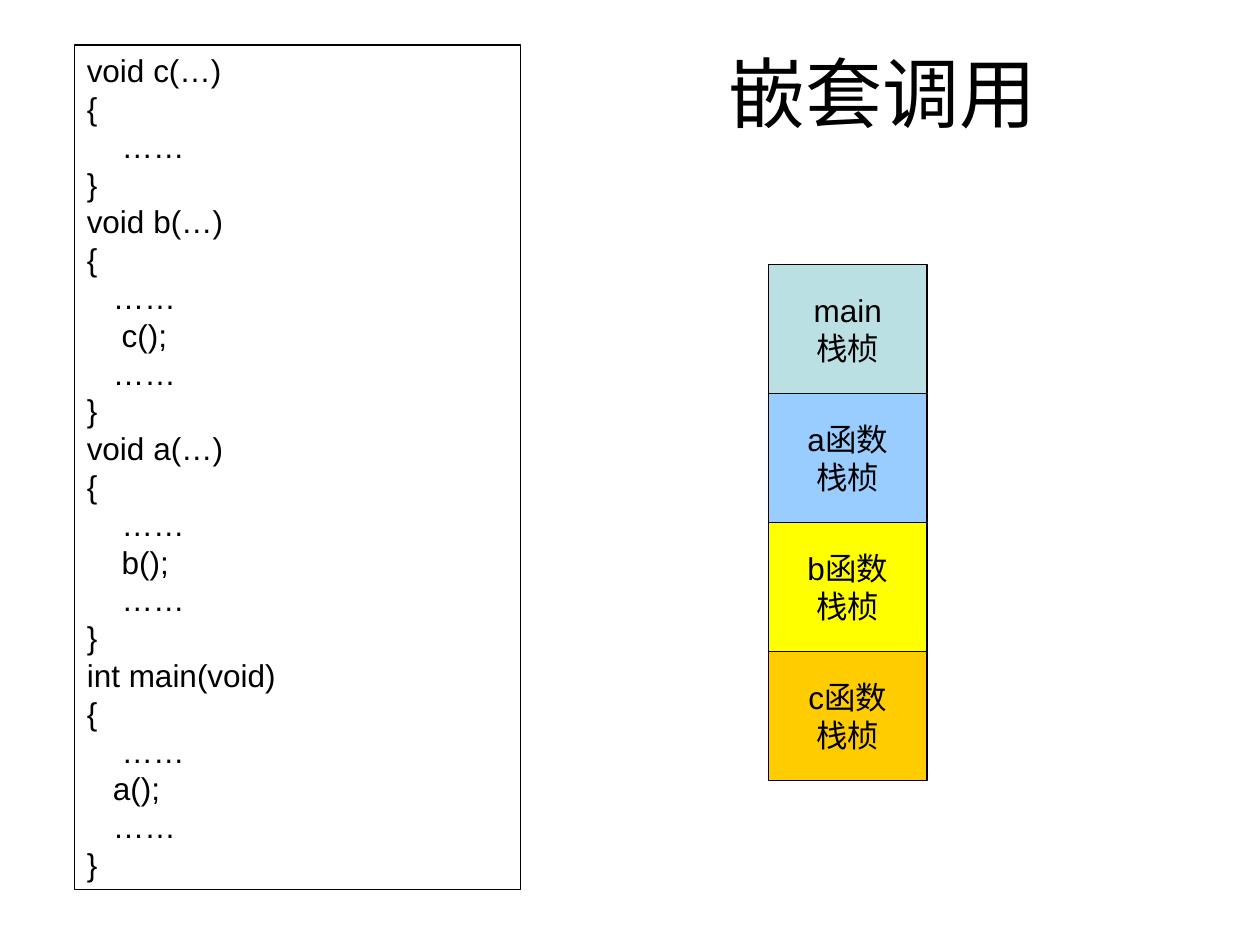
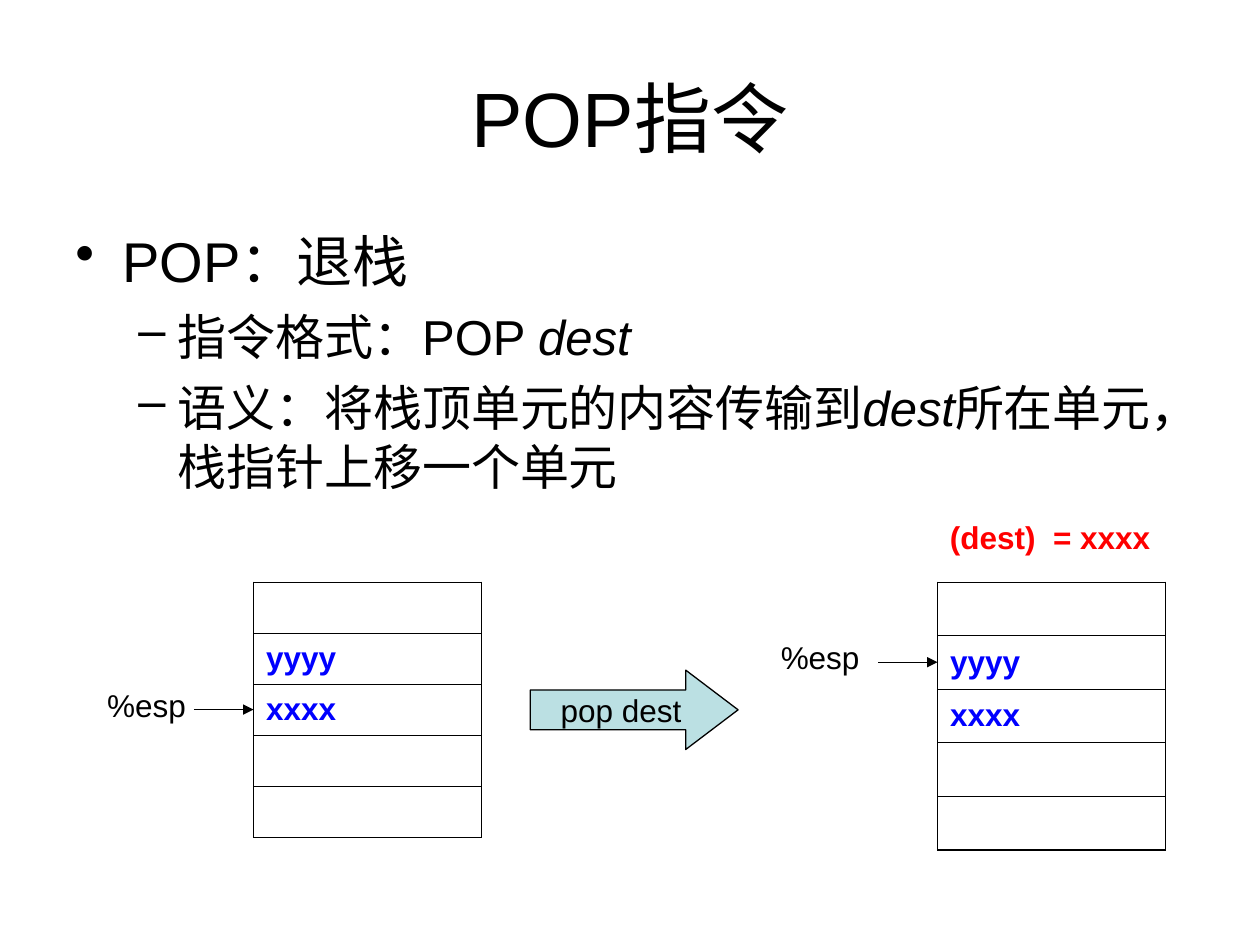
from lxml.etree import SubElement
from pptx import Presentation
from pptx.dml.color import RGBColor
from pptx.enum.shapes import MSO_CONNECTOR, MSO_SHAPE
from pptx.enum.text import MSO_ANCHOR, PP_ALIGN
from pptx.oxml.ns import qn
from pptx.util import Cm, Pt

BLACK = RGBColor(0x00, 0x00, 0x00)
RED = RGBColor(0xFF, 0x00, 0x00)
BLUE = RGBColor(0x00, 0x00, 0xFF)
TEAL = RGBColor(0xBB, 0xE0, 0xE3)
SKY = RGBColor(0x99, 0xCC, 0xFF)
YELLOW = RGBColor(0xFF, 0xFF, 0x00)
ORANGE = RGBColor(0xFF, 0xCC, 0x00)

FONT = "Arial"
TEXT_SIZE, TITLE_SIZE = 18, 44
LINE_WIDTH = 0.75

CODE = """void c(…)
{
    ……
}
void b(…)
{
   ……
    c();
   ……
}
void a(…)
{
    ……
    b();
    ……
}
int main(void)
{
    ……
   a();
   ……
}"""

FRAMES = [("main", TEAL), ("a函数", SKY), ("b函数", YELLOW), ("c函数", ORANGE)]

# Level and (text, italic) spans of each point
POINTS = [
    (0, [("POP：退栈", False)]),
    (1, [("指令格式：POP ", False), ("dest", True)]),
    (1, [("语义：将栈顶单元的内容传输到", False), ("dest", True),
         ("所在单元，栈指针上移一个单元", False)]),
]
# Bullet, text size, space before, left margin and hanging indent by level
LEVELS = [("•", 32, 8, 0.95, 0.95), ("–", 28, 7, 2.06, 0.79)]

STACK_CELLS = ["", "yyyy", "xxxx", "", ""]
STACK_WIDTH = 4.6


def style_font(font, size=TEXT_SIZE, color=BLACK, bold=False, italic=False):
    font.name = FONT
    font.size = Pt(size)
    font.color.rgb = color
    font.bold = bold
    font.italic = italic


def write(frame, text, align=PP_ALIGN.LEFT, **style):
    frame.text = text
    for para in frame.paragraphs:
        para.alignment = align
        for span in para.runs:
            style_font(span.font, **style)


def add_label(page, left, top, width, height, text, anchor=MSO_ANCHOR.TOP, **style):
    box = page.shapes.add_textbox(Cm(left), Cm(top), Cm(width), Cm(height))
    box.text_frame.word_wrap = True
    box.text_frame.vertical_anchor = anchor
    write(box.text_frame, text, **style)


def add_title(page, left, top, width, height, text):
    add_label(page, left, top, width, height, text, MSO_ANCHOR.MIDDLE,
              align=PP_ALIGN.CENTER, size=TITLE_SIZE)


def add_block(page, kind, left, top, width, height, text, fill=None):
    """Outlined shape: centred text if filled, a wrapped listing if not."""
    block = page.shapes.add_shape(kind, Cm(left), Cm(top), Cm(width), Cm(height))
    block.shadow.inherit = False
    block.line.color.rgb = BLACK
    block.line.width = Pt(LINE_WIDTH)
    frame = block.text_frame
    if fill is None:
        block.fill.background()
        frame.word_wrap = True
        frame.vertical_anchor = MSO_ANCHOR.TOP
        write(frame, text)
    else:
        block.fill.solid()
        block.fill.fore_color.rgb = fill
        frame.word_wrap = False
        frame.vertical_anchor = MSO_ANCHOR.MIDDLE
        write(frame, text, PP_ALIGN.CENTER)
    return block


def add_frame_stack(page, left, top, width, height):
    step = height / len(FRAMES)
    for index, (name, fill) in enumerate(FRAMES):
        add_block(page, MSO_SHAPE.RECTANGLE, left, top + index * step, width, step,
                  f"{name}\n栈桢", fill)


def add_points(page, left, top, width, height):
    box = page.shapes.add_textbox(Cm(left), Cm(top), Cm(width), Cm(height))
    frame = box.text_frame
    frame.word_wrap = True
    for index, (level, spans) in enumerate(POINTS):
        bullet, size, before, margin, hanging = LEVELS[level]
        para = frame.add_paragraph() if index else frame.paragraphs[0]
        para.level = level
        # Bullet and hanging indent
        props = para._p.get_or_add_pPr()
        props.set("marL", str(Cm(margin)))
        props.set("indent", str(-Cm(hanging)))
        bullet_color = SubElement(props, qn("a:buClr"))
        SubElement(bullet_color, qn("a:srgbClr"), val=str(BLACK))
        SubElement(props, qn("a:buChar"), char=bullet)
        if index:
            para.space_before = Pt(before)
        for text, italic in spans:
            span = para.add_run()
            span.text = text
            style_font(span.font, size, italic=italic)


def border_cell(cell, bottom_width):
    props = cell._tc.get_or_add_tcPr()
    for side in "LRTB":
        width = bottom_width if side == "B" else 0.45
        line = SubElement(props, qn(f"a:ln{side}"), w=str(Pt(width)))
        fill = SubElement(line, qn("a:solidFill"))
        SubElement(fill, qn("a:srgbClr"), val=str(BLACK))


def add_pointer(page, left, right, y):
    arrow = page.shapes.add_connector(MSO_CONNECTOR.STRAIGHT, Cm(left), Cm(y), Cm(right), Cm(y))
    arrow.line.color.rgb = BLACK
    arrow.line.width = Pt(LINE_WIDTH)
    SubElement(arrow.line._get_or_add_ln(), qn("a:tailEnd"), type="triangle")
    SubElement(arrow._element.spPr, qn("a:effectLst"))


def add_memory(page, left, top, row_height, top_row, label_offset):
    """Stack table with the %esp pointer aimed at top_row."""
    count = len(STACK_CELLS)
    table = page.shapes.add_table(count, 1, Cm(left), Cm(top), Cm(STACK_WIDTH),
                                  Cm(row_height * count)).table
    table.first_row = False
    table.horz_banding = False
    for index, text in enumerate(STACK_CELLS):
        table.rows[index].height = Cm(row_height)
        cell = table.cell(index, 0)
        border_cell(cell, 1.08 if index == count - 1 else 0.45)
        cell.fill.background()
        cell.vertical_anchor = MSO_ANCHOR.MIDDLE
        write(cell.text_frame, text, color=BLUE, bold=True)
    # Stack pointer
    y = top + (top_row + 0.5) * row_height
    add_label(page, left - label_offset, y - 0.61, 2.21, 1.02, "%esp")
    add_pointer(page, left - 1.2, left, y)


def build_nested_calls(page):
    add_block(page, MSO_SHAPE.RECTANGLE, 1.5, 0.91, 8.99, 17.02, CODE)
    add_frame_stack(page, 15.49, 5.33, 3.2, 10.4)
    add_title(page, 12.5, 0.76, 10.59, 2.16, "嵌套调用")


def build_pop(page):
    add_title(page, 1.27, 0.76, 22.86, 3.18, "POP指令")
    add_points(page, 1.27, 4.45, 22.86, 6.48)
    # Stack before and after the pop
    add_memory(page, 5.11, 11.73, 1.03, top_row=2, label_offset=3.2)
    add_memory(page, 18.9, 11.73, 1.08, top_row=1, label_offset=3.41)
    arrow = add_block(page, MSO_SHAPE.RIGHT_ARROW, 10.69, 13.51, 4.19, 1.6, "pop dest", TEAL)
    arrow.adjustments[1] = 0.66
    add_label(page, 18.9, 10.31, 4.8, 1.02, "(dest)  = xxxx", color=RED, bold=True)


def main():
    deck = Presentation()
    deck.slide_width, deck.slide_height = Cm(25.4), Cm(19.05)
    for build in (build_nested_calls, build_pop):
        build(deck.slides.add_slide(deck.slide_layouts[6]))
    deck.save("out.pptx")


if __name__ == "__main__":
    main()
